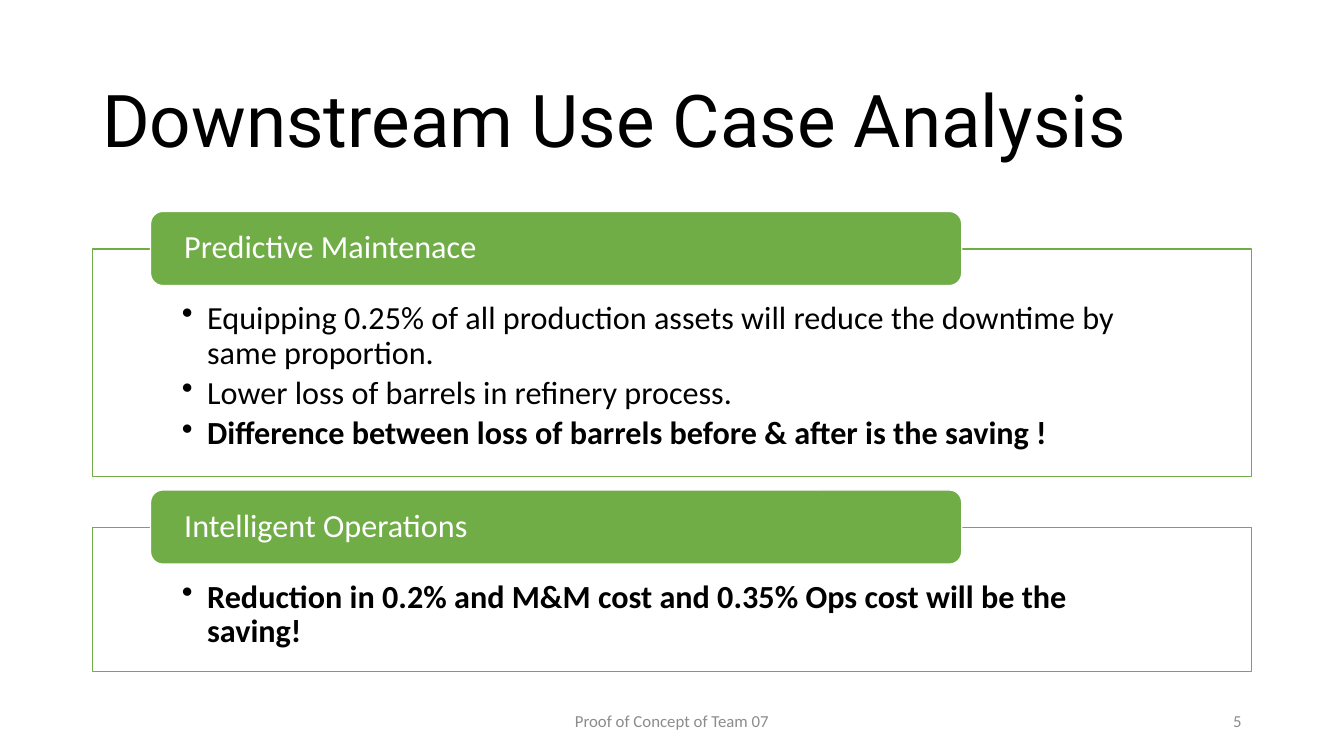
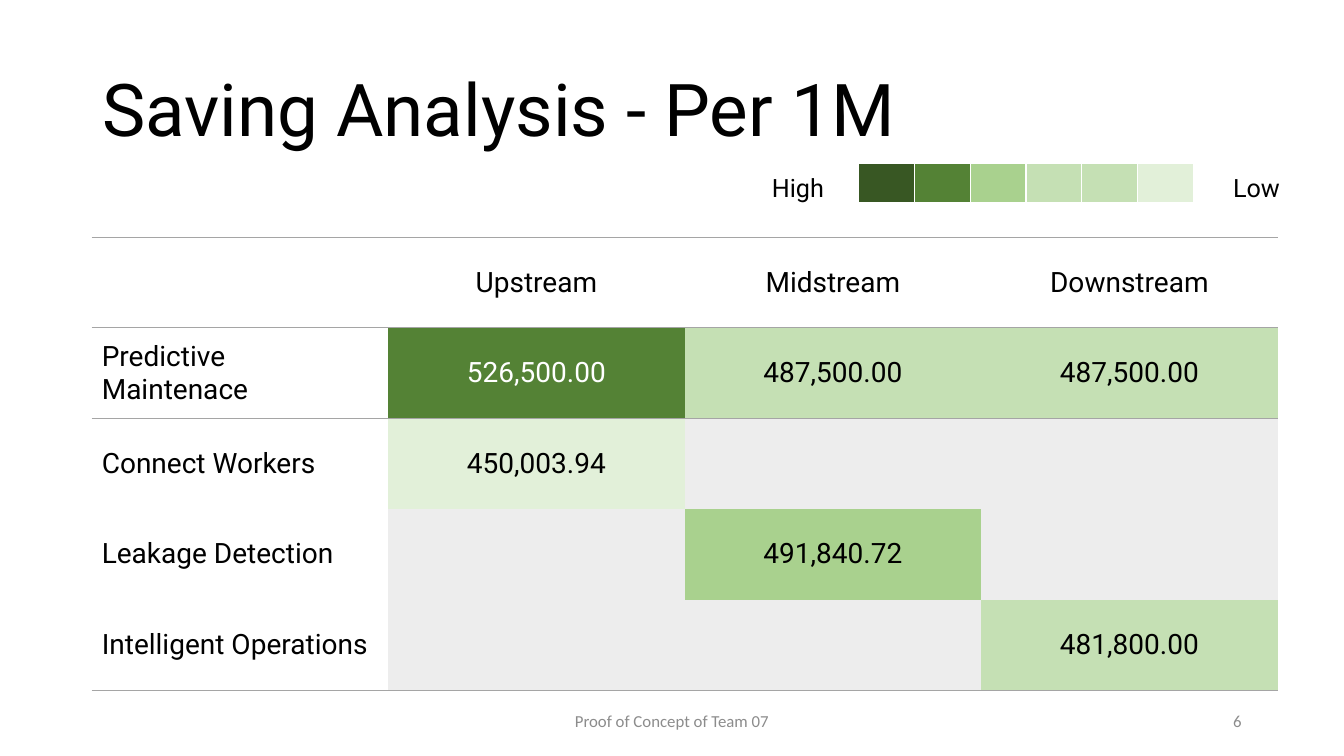
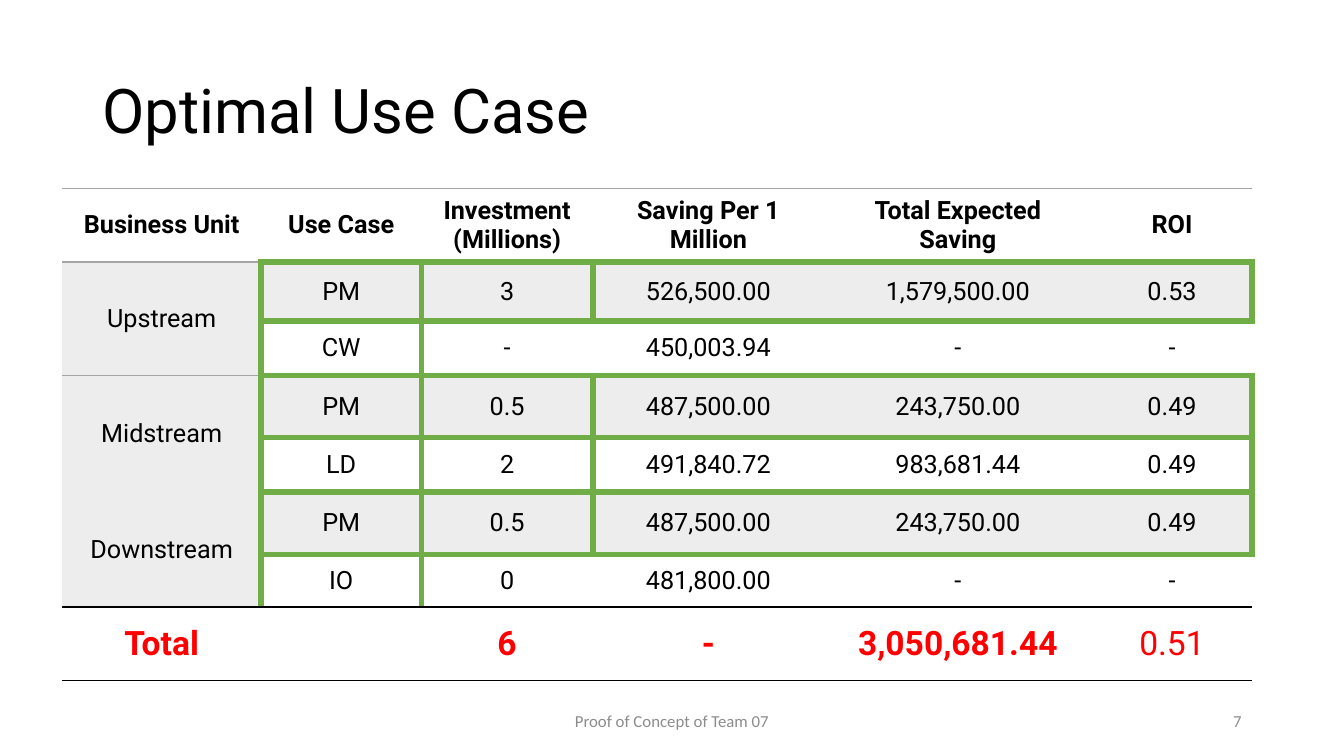
from lxml import etree
from pptx import Presentation
from pptx.dml.color import RGBColor
from pptx.enum.shapes import MSO_SHAPE
from pptx.enum.text import MSO_ANCHOR, PP_ALIGN
from pptx.oxml.ns import qn
from pptx.util import Pt

LEFT, CENTER, RIGHT = PP_ALIGN.LEFT, PP_ALIGN.CENTER, PP_ALIGN.RIGHT
TOP, MIDDLE = MSO_ANCHOR.TOP, MSO_ANCHOR.MIDDLE
RECTANGLE, ROUNDED = MSO_SHAPE.RECTANGLE, MSO_SHAPE.ROUNDED_RECTANGLE

BLACK = RGBColor(0x00, 0x00, 0x00)
WHITE = RGBColor(0xFF, 0xFF, 0xFF)
RED = RGBColor(0xFF, 0x00, 0x00)
GREEN = RGBColor(0x70, 0xAD, 0x47)
GRAY = RGBColor(0xA5, 0xA5, 0xA5)
PALE_GRAY = RGBColor(0xED, 0xED, 0xED)
FOOTER_GRAY = RGBColor(0x8C, 0x8C, 0x8C)
DEEPEST = RGBColor(0x38, 0x57, 0x23)
DEEP = RGBColor(0x54, 0x82, 0x35)
MEDIUM = RGBColor(0xA9, 0xD1, 0x8E)
LIGHT = RGBColor(0xC5, 0xE0, 0xB4)
LIGHTEST = RGBColor(0xE2, 0xF0, 0xD9)

HEADING_FONT, BODY_FONT = "Roboto", "Calibri"
PLAIN_TABLE_STYLE = "{2D5ABB26-0587-4C30-8999-92F81FD0307C}"
FOOTER = "Proof of Concept of Team 07"
MARGIN, CONTENT_WIDTH = 66, 828

THIN_GRAY, THIN_BLACK = (GRAY, 1), (BLACK, 1)
THIN_WHITE, WIDE_WHITE = (WHITE, 1), (WHITE, 3)
THICK_GREEN = (GREEN, 4.5)

PANELS = [
    ("Predictive Maintenace", 178, 162.5, [
        ("Equipping 0.25% of all production assets will reduce the downtime by same proportion.", False),
        ("Lower loss of barrels in refinery process.", False),
        ("Difference between loss of barrels before & after is the saving !", True),
    ]),
    ("Intelligent Operations", 377, 102.5, [
        ("Reduction in 0.2% and M&M cost and 0.35% Ops cost will be the saving!", True),
    ]),
]

SAVINGS = [
    ["", "Upstream", "Midstream", "Downstream"],
    ["Predictive Maintenace", "526,500.00", "487,500.00", "487,500.00"],
    ["Connect Workers", "450,003.94", "", ""],
    ["Leakage Detection", "", "491,840.72", ""],
    ["Intelligent Operations", "", "", "481,800.00"],
]
SAVING_FILLS = {
    "526,500.00": DEEP, "491,840.72": MEDIUM, "487,500.00": LIGHT,
    "481,800.00": LIGHT, "450,003.94": LIGHTEST, "": PALE_GRAY,
}
SAVING_RULES = [(row, 0, 3, THIN_GRAY) for row in (0, 1, 5)]

LEGEND = [DEEPEST, DEEP, MEDIUM, LIGHT, LIGHT, LIGHTEST]
LEGEND_ENDS = [("High", 518.5), ("Low", 846)]

USE_CASES = [
    ["Business Unit", "Use Case", "Investment (Millions)", "Saving Per 1 Million",
     "Total Expected Saving", "ROI"],
    ["Upstream", "PM", "3", "526,500.00", "1,579,500.00", "0.53"],
    ["", "CW", "-", "450,003.94", "-", "-"],
    ["Midstream", "PM", "0.5", "487,500.00", "243,750.00", "0.49"],
    ["", "LD", "2", "491,840.72", "983,681.44", "0.49"],
    ["Downstream", "PM", "0.5", "487,500.00", "243,750.00", "0.49"],
    ["", "IO", "0", "481,800.00", "-", "-"],
    ["Total", "", "6", "-", "3,050,681.44", "0.51"],
]
USE_CASE_WIDTHS = [142, 114.5, 122.5, 165, 191.5, 114.5]
USE_CASE_HEIGHTS = [52.5, 42, 39, 44.5, 39, 44.5, 37.5, 52.5]
USE_CASE_ROWS = [
    (0, 0, 5, THIN_GRAY), (1, 0, 0, THIN_GRAY),
    *[(row, 1, 5, THICK_GREEN) for row in (1, 2, 3, 4, 6)],
    (7, 0, 5, THIN_BLACK), (8, 0, 5, THIN_BLACK),
]
USE_CASE_COLUMNS = [
    (1, 1, 6, THICK_GREEN),
    *[(column, first, last, THICK_GREEN) for column in (2, 6) for first, last in ((1, 1), (3, 5))],
]


def style_paragraph(para, size, font, color, bold=False, align=LEFT, spacing=None):
    para.alignment = align
    para.line_spacing = spacing
    for span in para.runs:
        span.font.size = Pt(size)
        span.font.name = font
        span.font.bold = bold
        span.font.color.rgb = color


def add_text(page, text, left, top, width, height, size, font, color,
             align=LEFT, anchor=MIDDLE, spacing=None):
    box = page.shapes.add_textbox(Pt(left), Pt(top), Pt(width), Pt(height))
    frame = box.text_frame
    frame.word_wrap = True
    frame.vertical_anchor = anchor
    frame.text = text
    style_paragraph(frame.paragraphs[0], size, font, color, align=align, spacing=spacing)


def add_page(deck, number, title, title_size, title_top, title_height):
    page = deck.slides.add_slide(deck.slide_layouts[6])
    add_text(page, title, MARGIN, title_top, CONTENT_WIDTH, title_height,
             title_size, HEADING_FONT, BLACK, spacing=0.9)
    add_text(page, FOOTER, 318, 500.5, 324, 28.5, 12, BODY_FONT, FOOTER_GRAY, CENTER)
    add_text(page, str(number), 678, 500.5, 216, 28.5, 12, BODY_FONT, FOOTER_GRAY, RIGHT)
    return page


def add_box(page, kind, left, top, width, height, fill, line, anchor, insets):
    box = page.shapes.add_shape(kind, Pt(left), Pt(top), Pt(width), Pt(height))
    box.shadow.inherit = False
    box.fill.solid()
    box.fill.fore_color.rgb = fill
    box.line.color.rgb = line
    box.line.width = Pt(1)
    frame = box.text_frame
    frame.word_wrap = True
    frame.vertical_anchor = anchor
    side, frame.margin_top, frame.margin_bottom = [Pt(inset) for inset in insets]
    frame.margin_left = frame.margin_right = side
    return frame


def add_bullet(para):
    properties = para._p.get_or_add_pPr()
    properties.set("marL", str(Pt(18)))
    properties.set("indent", str(-Pt(18)))
    etree.SubElement(properties, qn("a:buChar"), char="•")


def add_panel(page, heading, top, height, points):
    frame = add_box(page, RECTANGLE, MARGIN, top, CONTENT_WIDTH, height,
                    WHITE, GREEN, TOP, (64, 37.5, 13))
    for index, (text, bold) in enumerate(points):
        para = frame.add_paragraph() if index else frame.paragraphs[0]
        para.text = text
        style_paragraph(para, 23, BODY_FONT, BLACK, bold, spacing=0.9)
        para.space_after = Pt(4)
        add_bullet(para)
    frame = add_box(page, ROUNDED, MARGIN + 41.5, top - 27, 579.5, 53,
                    GREEN, WHITE, MIDDLE, (21.5, 0, 0))
    frame.text = heading
    style_paragraph(frame.paragraphs[0], 23, BODY_FONT, WHITE, spacing=0.9)


def add_plain_table(page, left, top, widths, heights):
    holder = page.shapes.add_table(len(heights), len(widths), Pt(left), Pt(top),
                                   Pt(sum(widths)), Pt(sum(heights)))
    holder.element.find(".//" + qn("a:tableStyleId")).text = PLAIN_TABLE_STYLE
    table = holder.table
    table.first_row = table.horz_banding = False
    for column, width in zip(table.columns, widths):
        column.width = Pt(width)
    for row, height in zip(table.rows, heights):
        row.height = Pt(height)
    return table


def fill_cell(cell, text, fill, size, color=BLACK, bold=False, align=CENTER):
    cell.fill.solid()
    cell.fill.fore_color.rgb = fill
    cell.vertical_anchor = MIDDLE
    para = cell.text_frame.paragraphs[0]
    para.text = text
    para.font.size = Pt(size)
    style_paragraph(para, size, HEADING_FONT, color, bold, align)


def draw_borders(table, row_lines, column_lines=()):
    for row in range(len(table.rows)):
        for column in range(len(table.columns)):
            pens = {}
            for edge, first, last, pen in column_lines:
                if first <= row <= last and edge in (column, column + 1):
                    pens["a:lnL" if edge == column else "a:lnR"] = pen
            for edge, first, last, pen in row_lines:
                if first <= column <= last and edge in (row, row + 1):
                    pens["a:lnT" if edge == row else "a:lnB"] = pen
            properties = table.cell(row, column)._tc.get_or_add_tcPr()
            sides = [side for side in ("a:lnL", "a:lnR", "a:lnT", "a:lnB") if side in pens]
            for index, side in enumerate(sides):
                color, width = pens[side]
                line = etree.Element(qn(side), w=str(Pt(width)))
                solid = etree.SubElement(line, qn("a:solidFill"))
                etree.SubElement(solid, qn("a:srgbClr"), val=str(color))
                properties.insert(index, line)


def build_downstream(deck):
    page = add_page(deck, 5, "Downstream Use Case Analysis", 52, 44, 89)
    for panel in PANELS:
        add_panel(page, *panel)


def build_savings(deck):
    page = add_page(deck, 6, "Saving Analysis - Per 1M", 52, 28.5, 104.5)
    table = add_plain_table(page, 65.5, 169.5, [211.8] * 4, [64.7] * 5)
    for row, texts in enumerate(SAVINGS):
        for column, text in enumerate(texts):
            fill = SAVING_FILLS[text] if row and column else WHITE
            color = WHITE if fill == DEEP else BLACK
            fill_cell(table.cell(row, column), text, fill, 20, color,
                      align=CENTER if column else LEFT)
    draw_borders(table, SAVING_RULES)

    count = len(LEGEND)
    legend = add_plain_table(page, 613.5, 116.7, [39.8] * count, [28.8])
    for column, fill in enumerate(LEGEND):
        fill_cell(legend.cell(0, column), "", fill, 12)
    draw_borders(legend, [(0, 0, count - 1, THIN_WHITE), (1, 0, count - 1, WIDE_WHITE)],
                 [(edge, 0, 0, THIN_WHITE) for edge in range(count + 1)])
    for text, left in LEGEND_ENDS:
        add_text(page, text, left, 119.5, 103, 29, 18, HEADING_FONT, BLACK, CENTER, TOP)


def build_use_cases(deck):
    page = add_page(deck, 7, "Optimal Use Case", 44, 28.5, 104.5)
    table = add_plain_table(page, 44.5, 134.7, USE_CASE_WIDTHS, USE_CASE_HEIGHTS)
    total = len(USE_CASES) - 1
    for row, texts in enumerate(USE_CASES):
        for column, text in enumerate(texts):
            shaded = 0 < row < total and (column == 0 or row % 2 == 1)
            bold = row == 0 or (row == total and column < len(texts) - 1)
            size, color = (24, RED) if row == total else (18, BLACK)
            fill_cell(table.cell(row, column), text, PALE_GRAY if shaded else WHITE,
                      size, color, bold)
    for row in range(1, total, 2):
        table.cell(row, 0).merge(table.cell(row + 1, 0))
    draw_borders(table, USE_CASE_ROWS, USE_CASE_COLUMNS)


def main():
    deck = Presentation()
    deck.slide_width, deck.slide_height = Pt(960), Pt(540)
    build_downstream(deck)
    build_savings(deck)
    build_use_cases(deck)
    deck.save("out.pptx")


if __name__ == "__main__":
    main()
